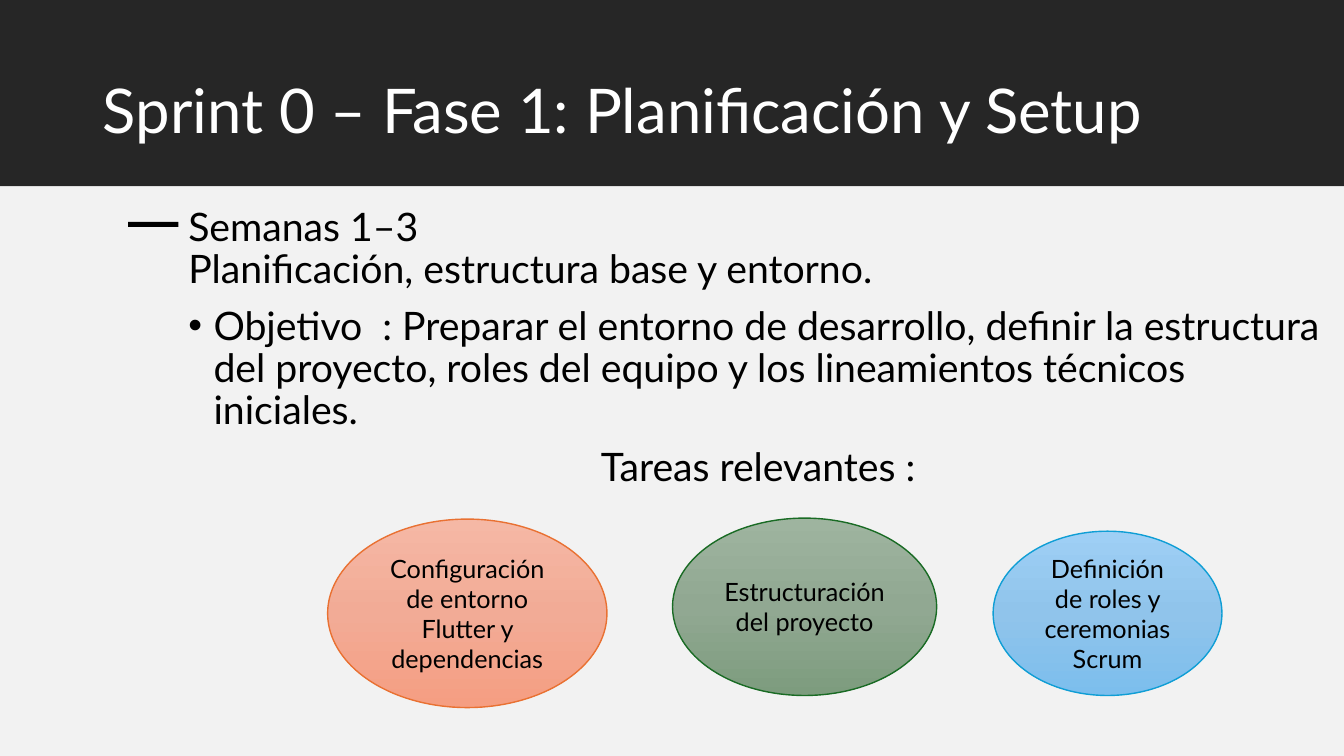
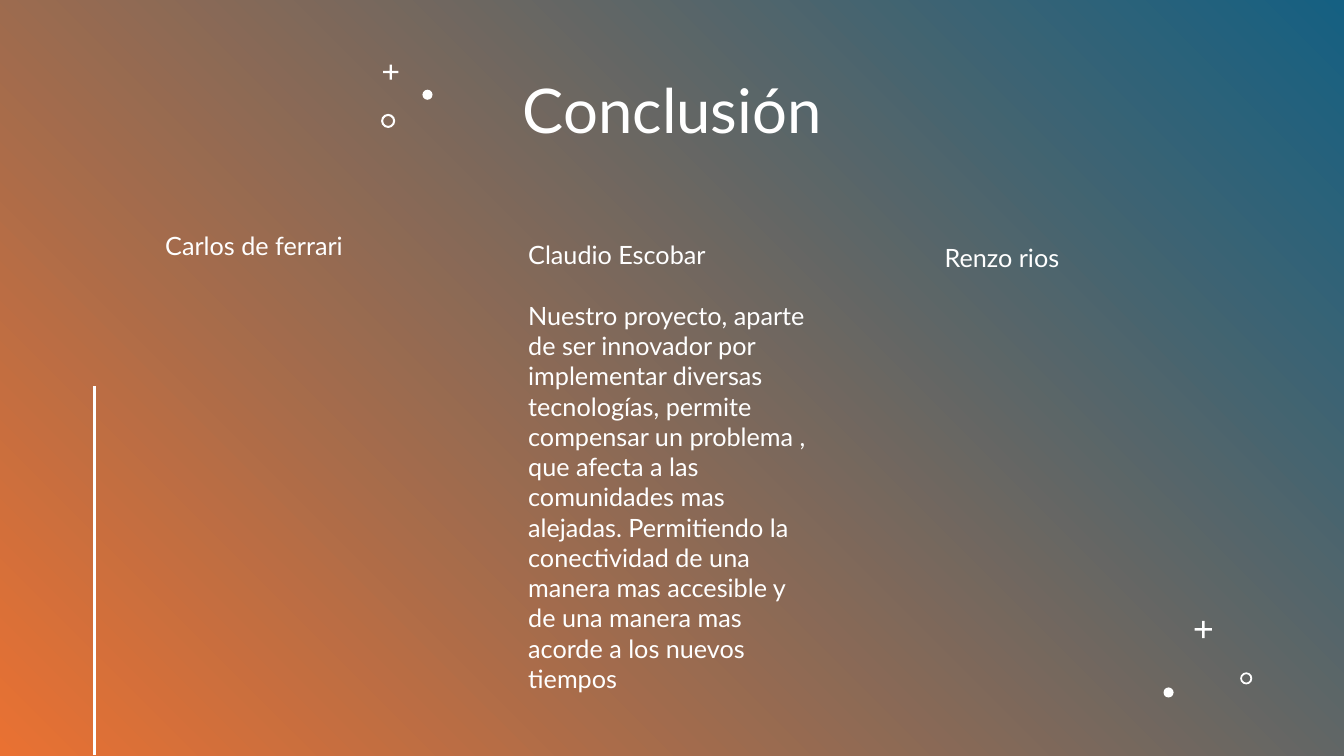
from dataclasses import dataclass

from lxml import etree
from pptx import Presentation, util as u
from pptx.dml.color import RGBColor
from pptx.enum import shapes, text
from pptx.oxml import ns

KIND = shapes.MSO_SHAPE
LEFT, MID = text.PP_ALIGN.LEFT, text.PP_ALIGN.CENTER


@dataclass(frozen=True)
class Theme:
    font: str = "Lato"
    dark: str = "262626"
    pale: str = "F2F2F2"
    white: str = "FFFFFF"
    black: str = "000000"
    blue: str = "156082"
    orange: str = "E97132"
    head: int = 44
    body: int = 28
    small: int = 18
    tight: float = 0.9


class Deck:
    def __init__(self, theme):
        self.theme = theme
        self.prs = Presentation()
        self.prs.slide_width = u.Inches(13.33)
        self.prs.slide_height = u.Inches(7.5)

    def start(self):
        layout = self.prs.slide_layouts[5]
        self.slide = self.prs.slides.add_slide(layout)

    def put(self, para, words, size, color, align=LEFT):
        """Add words to a paragraph, with a line break at each newline."""
        para.alignment = align
        for i, line in enumerate(words.split("\n")):
            if i:
                para.add_line_break()
            run = para.add_run()
            run.text = line
            run.font.name = self.theme.font
            run.font.size = u.Pt(size)
            run.font.color.rgb = RGBColor.from_string(color)

    def title(self, words, align=LEFT):
        """Fill the title and raise it above what is already drawn."""
        box = self.slide.shapes.title
        box.left, box.top = u.Inches(0.92), u.Inches(0.4)
        box.width, box.height = u.Inches(11.5), u.Inches(1.45)
        frame = box.text_frame
        frame.auto_size = text.MSO_AUTO_SIZE.NONE
        frame.vertical_anchor = text.MSO_ANCHOR.MIDDLE
        para = frame.paragraphs[0]
        para.line_spacing = self.theme.tight
        self.put(para, words, self.theme.head, self.theme.white, align)
        box.element.getparent().append(box.element)

    def shape(self, kind, at, fill=None, line=None, adj=None):
        item = self.slide.shapes.add_shape(kind, *map(u.Inches, at))
        item.shadow.inherit = False
        if fill:
            item.fill.solid()
            item.fill.fore_color.rgb = RGBColor.from_string(fill)
        if line:
            item.line.color.rgb = RGBColor.from_string(line)
            item.line.width = u.Pt(1)
        else:
            item.line.fill.background()
        if adj is not None:
            item.adjustments[0] = adj
        return item

    def blend(self, item, colors, angle):
        """Fill with evenly spaced colours, the angle running clockwise."""
        item.fill.gradient()
        item.fill.gradient_angle = 360 - angle
        stops = item.element.spPr.find(".//" + ns.qn("a:gsLst"))
        for stop in list(stops):
            stops.remove(stop)
        for i, color in enumerate(colors):
            pos = 100000 * i // (len(colors) - 1)
            stop = etree.SubElement(stops, ns.qn("a:gs"), pos=str(pos))
            etree.SubElement(stop, ns.qn("a:srgbClr"), val=color)

    def oval(self, at, words, colors, line):
        item = self.shape(KIND.OVAL, at, line=line)
        self.blend(item, colors, 90)
        frame = item.text_frame
        frame.word_wrap = True
        frame.vertical_anchor = text.MSO_ANCHOR.MIDDLE
        self.put(frame.paragraphs[0], words, self.theme.small,
                 self.theme.black, MID)

    def box(self, at, paras, size, color, gap=0, tight=None):
        """Add a text box; each paragraph is (words, align, bullet)."""
        item = self.slide.shapes.add_textbox(*map(u.Inches, at))
        frame = item.text_frame
        frame.word_wrap = True
        for i, (words, align, bullet) in enumerate(paras):
            para = frame.add_paragraph() if i else frame.paragraphs[0]
            if bullet:
                self.bullet(para)
            if i:
                para.space_before = u.Pt(gap)
            if tight:
                para.line_spacing = tight
            self.put(para, words, size, color, align)

    def bullet(self, para):
        props = para._p.get_or_add_pPr()
        step = u.Inches(0.25)
        props.set("marL", str(step))
        props.set("indent", str(-step))
        etree.SubElement(props, ns.qn("a:buFont"), typeface="Arial")
        etree.SubElement(props, ns.qn("a:buChar"), char="•")

    def line(self, start, end):
        item = self.slide.shapes.add_connector(
            shapes.MSO_CONNECTOR.STRAIGHT, *map(u.Inches, start + end))
        item.line.color.rgb = RGBColor.from_string(self.theme.white)
        item.line.width = u.Pt(2)
        etree.SubElement(item._element.spPr, ns.qn("a:effectLst"))

    def motif(self, plus, dot, ring):
        """Draw a plus, a dot and a ring, each given as (left, top, side)."""
        marks = ((KIND.CROSS, plus, 0.43), (KIND.OVAL, dot, None),
                 (KIND.DONUT, ring, 0.15))
        for kind, (x, y, side), adj in marks:
            self.shape(kind, (x, y, side, side), self.theme.white, adj=adj)


def sprint(deck):
    theme = deck.theme
    deck.start()
    deck.shape(KIND.RECTANGLE, (0, 0, 13.33, 1.85), theme.dark)
    deck.shape(KIND.RECTANGLE, (0, 1.85, 13.33, 5.65), theme.pale)
    deck.shape(KIND.RECTANGLE, (1.27, 2.2, 0.5, 0.05), theme.black)
    deck.title("Sprint 0 – Fase 1: Planificación y Setup")
    deck.box((1.77, 2.01, 11.5, 5.32), (
        ("Semanas 1–3\nPlanificación, estructura base y entorno.",
         LEFT, False),
        ("Objetivo  : Preparar el entorno de desarrollo, definir la "
         "estructura del proyecto, roles del equipo y los lineamientos "
         "técnicos iniciales.", LEFT, True),
        ("Tareas relevantes :", MID, False),
    ), theme.body, theme.black, gap=10, tight=theme.tight)
    tasks = (
        ((3.25, 5.15, 2.77, 1.87),
         "Configuración de entorno Flutter y dependencias",
         ("F5B8A5", "F2AB96", "F59E82"), theme.orange),
        ((6.67, 5.14, 2.62, 1.76), "Estructuración del proyecto",
         ("9EB49F", "91A892", "7D9C7E"), "196B24"),
        ((9.85, 5.27, 2.27, 1.63), "Definición de roles y ceremonias Scrum",
         ("9ECFF5", "90C4EB", "7CBEED"), "0F9ED5"),
    )
    for task in tasks:
        deck.oval(*task)


def ending(deck):
    theme = deck.theme
    deck.start()
    back = deck.shape(KIND.RECTANGLE, (0, 0, 13.33, 7.5))
    deck.blend(back, (theme.blue, theme.orange), 135)
    deck.motif((3.8, 0.64, 0.15), (4.19, 0.89, 0.1), (3.78, 1.13, 0.14))
    deck.line((0.94, 3.83), (0.94, 7.49))
    deck.motif((11.85, 6.16, 0.17), (11.54, 6.82, 0.1), (12.3, 6.67, 0.12))
    deck.title("Conclusión", MID)
    speech = (
        "Nuestro proyecto, aparte de ser innovador por implementar diversas "
        "tecnologías, permite compensar un problema , que afecta a las "
        "comunidades mas alejadas. Permitiendo la conectividad de una manera "
        "mas accesible y de una manera mas acorde a los nuevos tiempos")
    people = (
        ((1.54, 2.24, 3.08, 0.4), ("Carlos de ferrari",)),
        ((5.14, 2.33, 3.08, 4.64), ("Claudio Escobar", speech)),
        ((9.27, 2.35, 3.08, 0.71), ("Renzo rios",)),
    )
    for at, lines in people:
        paras = [(words, LEFT, False) for words in lines]
        deck.box(at, paras, theme.small, theme.white, gap=21.6)


def main():
    deck = Deck(Theme())
    sprint(deck)
    ending(deck)
    deck.prs.save("out.pptx")


if __name__ == "__main__":
    main()
